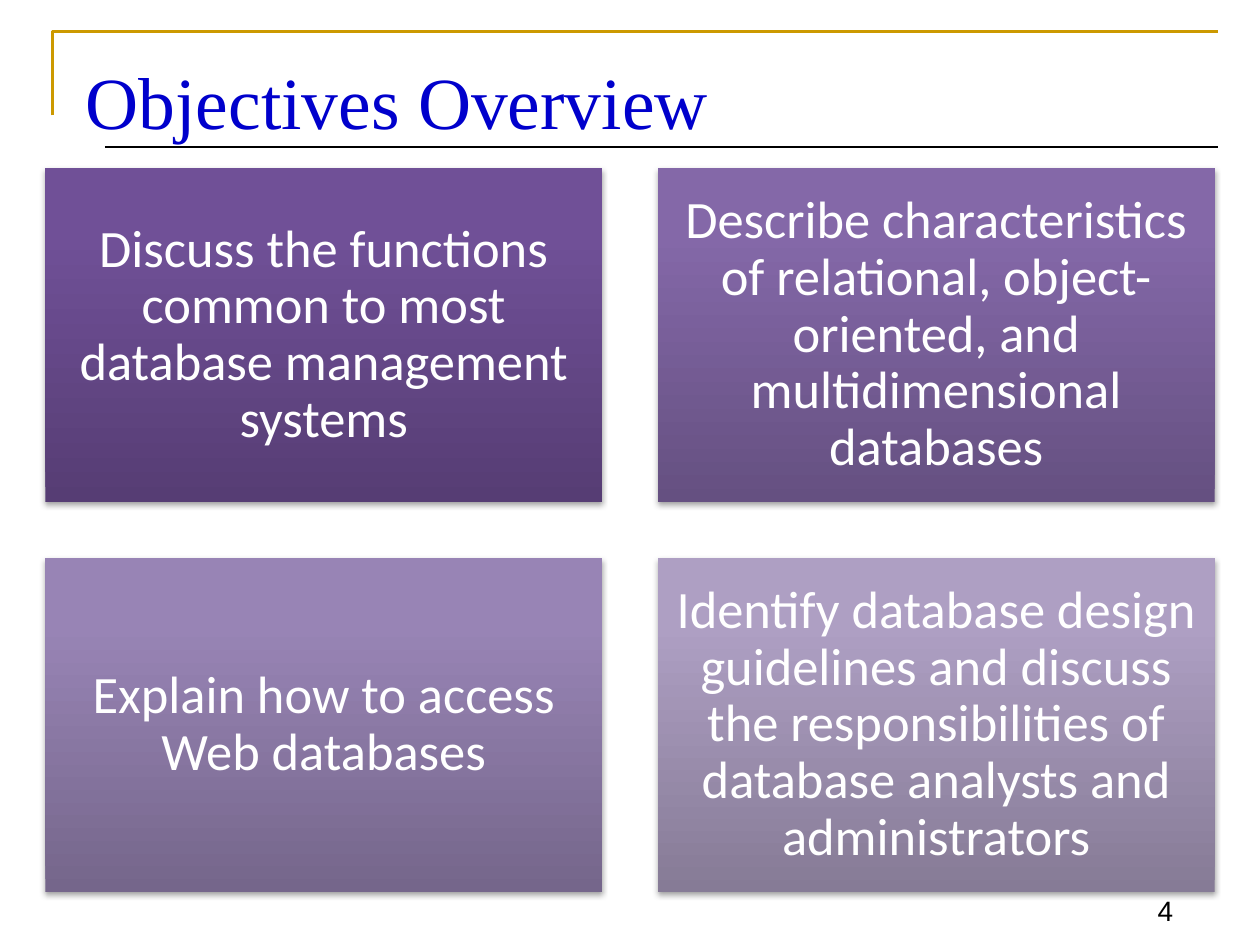
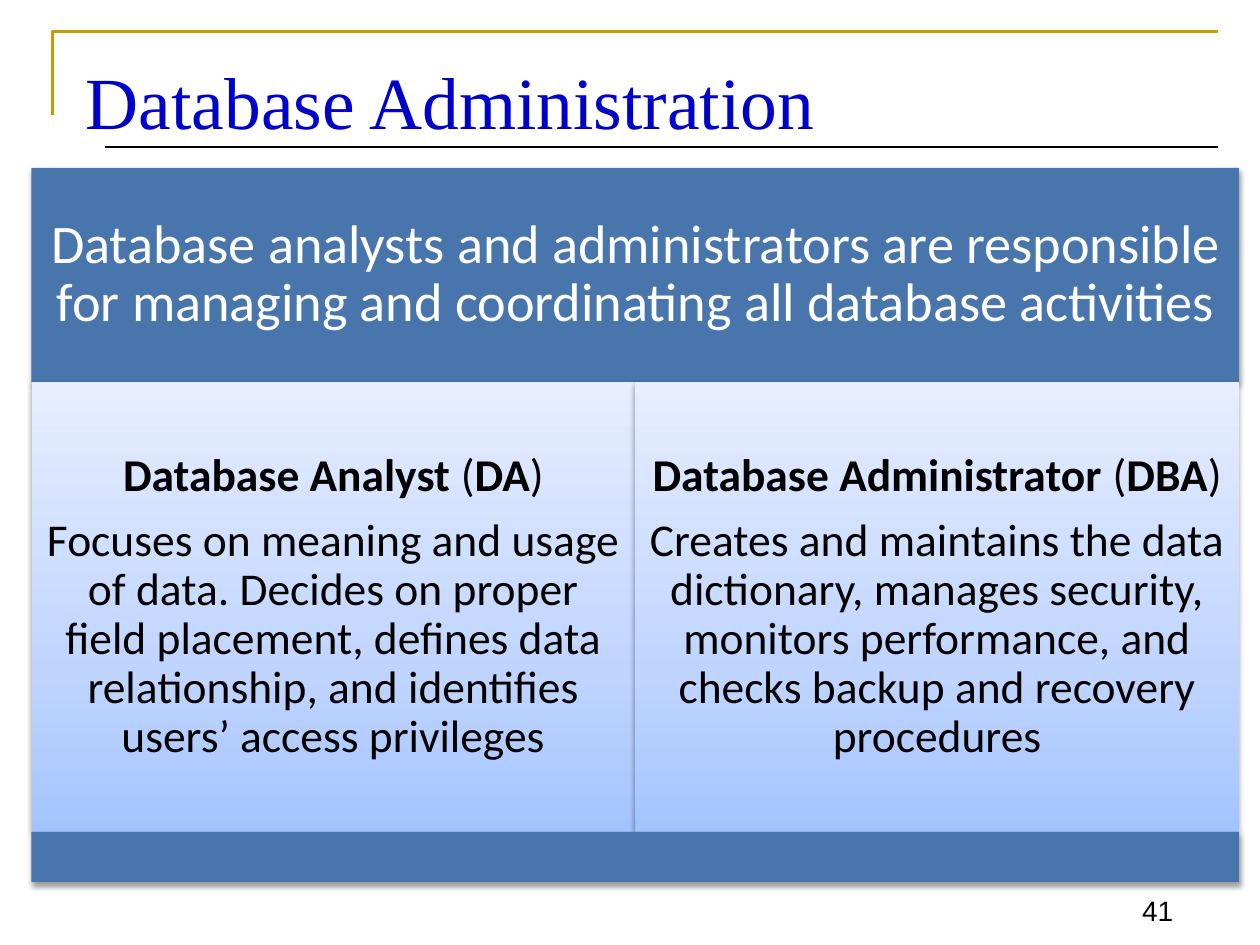
from dataclasses import dataclass

import pptx
import pptx.dml.color
import pptx.enum.shapes
import pptx.enum.text
import pptx.oxml.ns
import pptx.util
from lxml import etree

Pt = pptx.util.Pt
PP_ALIGN = pptx.enum.text.PP_ALIGN
ANCHOR = pptx.enum.text.MSO_ANCHOR
qn = pptx.oxml.ns.qn


@dataclass(frozen=True)
class Theme:
    title_font: str = "Times New Roman"
    body_font: str = "Calibri"
    number_font: str = "Arial"
    title_size: float = 42
    objective_size: float = 30
    banner_size: float = 31
    role_size: float = 26
    number_size: float = 16
    title: str = "0000CC"
    corner: str = "CC9900"
    dark: str = "000000"
    light: str = "FFFFFF"
    band: str = "4875AC"
    # Gradient stops run from the bottom edge to the top edge.
    role_fill: tuple = ((0, "A4C4FF"), (0.35, "BFD4FF"), (1, "E6EEFF"))
    objective_fills: tuple = (
        ((0, "563D74"), (0.8, "705097"), (1, "704F99")),
        ((0, "655081"), (0.8, "8468A8"), (1, "8467AA")),
        ((0, "75668B"), (0.8, "9884B5"), (1, "9984B7")),
        ((0, "867B96"), (0.8, "AE9FC3"), (1, "AE9FC4")),
    )


THEME = Theme()
SLIDE_WIDTH, SLIDE_HEIGHT = 720, 540
CONTENT_TOP = 96
RULE_RIGHT = 696

OBJECTIVES = (
    "Discuss the functions common to most database management systems",
    "Describe characteristics of relational, object-oriented, and "
    "multidimensional databases",
    "Explain how to access Web databases",
    "Identify database design guidelines and discuss the responsibilities of "
    "database analysts and administrators",
)
RESPONSIBILITY = ("Database analysts and administrators are responsible for "
                  "managing and coordinating all database activities")
ROLES = (
    ("Database Analyst", "DA",
     "Focuses on meaning and usage of data. Decides on proper field placement, "
     "defines data relationship, and identifies users’ access privileges"),
    ("Database Administrator", "DBA",
     "Creates and maintains the data dictionary, manages security, monitors "
     "performance, and checks backup and recovery procedures"),
)


def rgb(value):
    return pptx.dml.color.RGBColor.from_string(value)


def style_run(run, font, size, color, bold=False):
    run.font.name = font
    run.font.size = Pt(size)
    run.font.color.rgb = rgb(color)
    run.font.bold = bold


def add_label(slide, text, box, font, size, color, align, anchor, top_inset=3.6):
    label = slide.shapes.add_textbox(*map(Pt, box))
    frame = label.text_frame
    frame.word_wrap = True
    frame.margin_top = Pt(top_inset)
    frame.vertical_anchor = anchor
    frame.text = text
    frame.paragraphs[0].alignment = align
    style_run(frame.paragraphs[0].runs[0], font, size, color)


def add_frame(slide, title, number):
    """Add the corner rule, underline, page number and title."""
    builder = slide.shapes.build_freeform(Pt(30), Pt(66))
    builder.add_line_segments([(Pt(30), Pt(18)), (Pt(RULE_RIGHT), Pt(18))], close=False)
    corner = builder.convert_to_shape()
    corner.shadow.inherit = False
    corner.fill.background()
    corner.line.color.rgb = rgb(THEME.corner)
    corner.line.width = Pt(1.5)

    underline = slide.shapes.add_connector(
        pptx.enum.shapes.MSO_CONNECTOR.STRAIGHT, Pt(60), Pt(84), Pt(RULE_RIGHT), Pt(84))
    underline.line.color.rgb = rgb(THEME.dark)
    underline.line.width = Pt(0.75)
    etree.SubElement(underline._element.spPr, qn("a:effectLst"))

    add_label(slide, str(number), (630, 498, 47.5, 35.5), THEME.number_font,
              THEME.number_size, THEME.dark, PP_ALIGN.RIGHT, ANCHOR.BOTTOM)
    add_label(slide, title, (42, 24, 654, 54), THEME.title_font,
              THEME.title_size, THEME.title, PP_ALIGN.LEFT, ANCHOR.TOP, top_inset=8)


def fill_gradient(shape, stops):
    shape.fill.gradient()
    shape.fill.gradient_angle = 90
    stop_list = shape._element.spPr.find(".//" + qn("a:gsLst"))
    for old_stop in list(stop_list):
        stop_list.remove(old_stop)
    for position, color in stops:
        stop = etree.SubElement(stop_list, qn("a:gs"), pos=str(round(position * 100000)))
        etree.SubElement(stop, qn("a:srgbClr"), val=color)


def add_shadow(shape, opacity, distance):
    shape.shadow.inherit = False
    effects = shape._element.spPr.find(qn("a:effectLst"))
    outer = etree.SubElement(effects, qn("a:outerShdw"), blurRad=str(Pt(3.1)),
                             dist=str(Pt(distance)), dir="5400000", rotWithShape="0")
    color = etree.SubElement(outer, qn("a:srgbClr"), val=THEME.dark)
    etree.SubElement(color, qn("a:alpha"), val=str(opacity * 1000))


def add_panel(slide, box, fill, opacity=38, distance=1.6):
    """Add a shadowed rectangle; fill is one colour or a tuple of stops."""
    panel = slide.shapes.add_shape(
        pptx.enum.shapes.MSO_SHAPE.RECTANGLE, *map(Pt, box))
    if isinstance(fill, str):
        panel.fill.solid()
        panel.fill.fore_color.rgb = rgb(fill)
    else:
        fill_gradient(panel, fill)
    panel.line.fill.background()
    add_shadow(panel, opacity, distance)
    return panel


def write_panel(panel, paragraphs, size, color):
    """Write paragraphs, each a list of (text, bold) pieces."""
    frame = panel.text_frame
    frame.word_wrap = True
    frame.vertical_anchor = ANCHOR.MIDDLE
    inset = Pt(size * 0.3)
    frame.margin_left = frame.margin_right = inset
    frame.margin_top = frame.margin_bottom = inset
    for index, pieces in enumerate(paragraphs):
        paragraph = frame.add_paragraph() if index else frame.paragraphs[0]
        paragraph.alignment = PP_ALIGN.CENTER
        paragraph.line_spacing = 0.9
        paragraph.space_after = Pt(size * 0.35)
        for text, bold in pieces:
            run = paragraph.add_run()
            run.text = text
            style_run(run, THEME.body_font, size, color, bold)


def build_objectives(slide):
    add_frame(slide, "Objectives Overview", 4)
    width, height, gap = 318.2, 190.9, 31.8
    left = (SLIDE_WIDTH - 2 * width - gap) / 2
    for index, (objective, fill) in enumerate(zip(OBJECTIVES, THEME.objective_fills)):
        row, column = divmod(index, 2)
        box = (left + column * (width + gap), CONTENT_TOP + row * (height + gap),
               width, height)
        card = add_panel(slide, box, fill, opacity=35, distance=1.8)
        write_panel(card, [[(objective, False)]], THEME.objective_size, THEME.light)


def build_administration(slide):
    add_frame(slide, "Database Administration", 41)
    left, width, height = 18, 690, 408
    banner_height, role_height, base_height = (height * part for part in (0.3, 0.63, 0.07))
    role_top = CONTENT_TOP + banner_height
    role_width = width / len(ROLES)

    banner = add_panel(slide, (left, CONTENT_TOP, width, banner_height), THEME.band)
    write_panel(banner, [[(RESPONSIBILITY, False)]], THEME.banner_size, THEME.light)
    for column, (role, short, duties) in enumerate(ROLES):
        box = (left + column * role_width, role_top, role_width, role_height)
        card = add_panel(slide, box, THEME.role_fill)
        heading = [(role, True), (" (", False), (short, True), (")", False)]
        write_panel(card, [heading, [(duties, False)]], THEME.role_size, THEME.dark)
    add_panel(slide, (left, role_top + role_height, width, base_height), THEME.band)


def main():
    deck = pptx.Presentation()
    deck.slide_width, deck.slide_height = Pt(SLIDE_WIDTH), Pt(SLIDE_HEIGHT)
    for build in (build_objectives, build_administration):
        build(deck.slides.add_slide(deck.slide_layouts[6]))
    deck.save("out.pptx")


if __name__ == "__main__":
    main()
